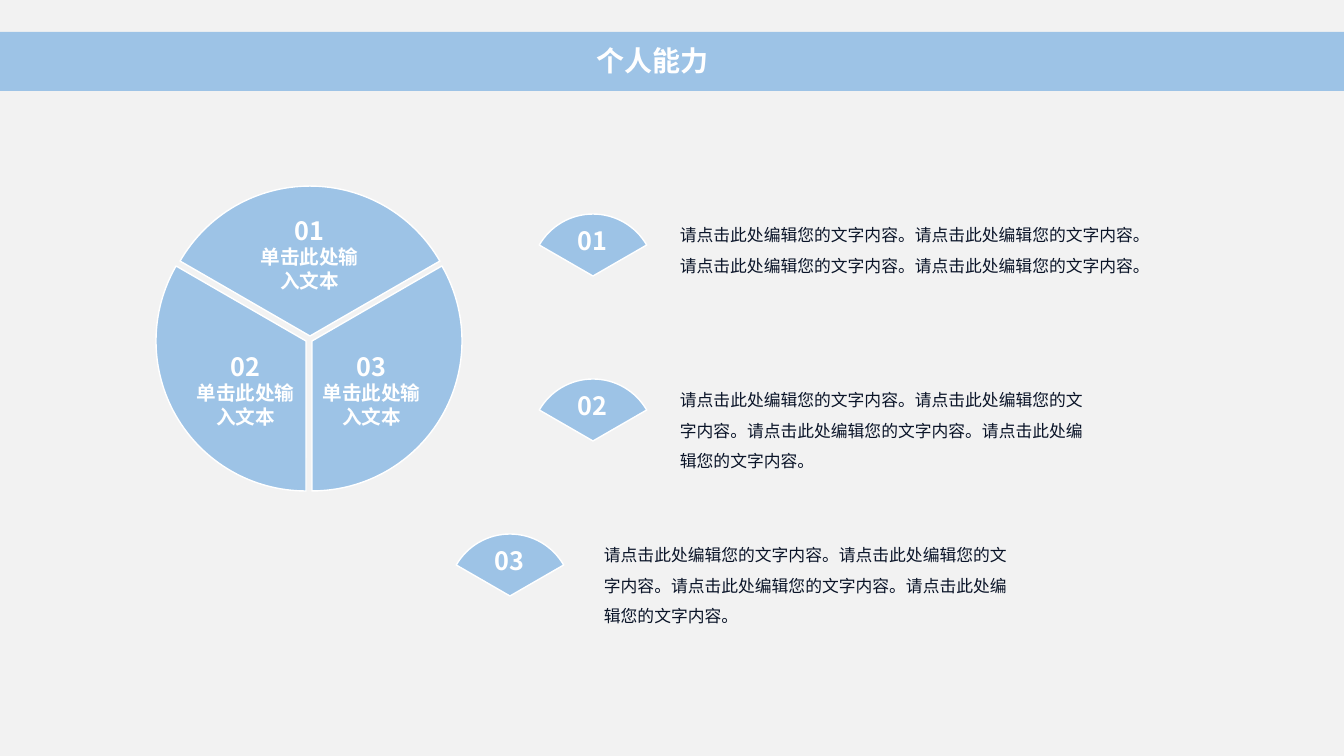
from dataclasses import dataclass

import pptx
import pptx.dml.color
import pptx.enum.shapes
import pptx.enum.text
import pptx.oxml
import pptx.oxml.ns
import pptx.util

SLIDE_W, SLIDE_H = 1344, 756
EMU_PER_PX = 12192000 / SLIDE_W
FONT = "Noto Sans CJK SC"
COLORS = {"page": "F2F2F2", "blue": "9DC3E6", "white": "FFFFFF", "ink": "0A1428"}
ALIGN = pptx.enum.text.PP_ALIGN
SHAPE = pptx.enum.shapes.MSO_SHAPE
SECTOR_LABEL = "单击此处输入文本"
DESCRIPTION = "请点击此处编辑您的文字内容。" * 4


@dataclass
class Line:
    text: str
    size: int
    color: str = "white"
    bold: bool = True
    align: ALIGN | None = ALIGN.CENTER
    spacing: float | None = None


@dataclass
class Sector:
    number: str
    left: int
    top: int
    rotation: int
    label_left: int
    label_top: int


@dataclass
class Ability:
    number: str
    left: int
    top: int
    text_left: int
    text_width: int
    text_height: int


SECTORS = [
    Sector("01", 160, 186, 300, 250, 195),
    Sector("02", 156, 191, 180, 186, 331),
    Sector("03", 162, 191, 60, 312, 331),
]
ABILITIES = [
    Ability("01", 531, 214, 670, 482, 68),
    Ability("02", 531, 379, 670, 436, 102),
    Ability("03", 448, 534, 594, 436, 102),
]


def px(value: float) -> int:
    return round(value * EMU_PER_PX)


def rgb(name: str) -> pptx.dml.color.RGBColor:
    return pptx.dml.color.RGBColor.from_string(COLORS[name])


def add_filled(shapes, kind, left: int, top: int, width: int, height: int):
    shape = shapes.add_shape(kind, px(left), px(top), px(width), px(height))
    shape.shadow.inherit = False
    shape.fill.solid()
    shape.fill.fore_color.rgb = rgb("blue")
    shape.line.fill.background()
    return shape


def add_pie(shapes, left: int, top: int, size: int, rotation: int) -> None:
    pie = add_filled(shapes, SHAPE.PIE, left, top, size, size)
    pie.adjustments[0] = 162  # 270 degrees
    pie.adjustments[1] = 18  # 30 degrees
    pie.rotation = rotation
    pie.line.color.rgb = rgb("white")
    pie.line.width = pptx.util.Pt(1)


def add_text(shapes, left: int, top: int, width: int, height: int,
             lines: list[Line]) -> None:
    box = shapes.add_textbox(px(left), px(top), px(width), px(height))
    frame = box.text_frame
    frame.word_wrap = True
    frame.auto_size = pptx.enum.text.MSO_AUTO_SIZE.SHAPE_TO_FIT_TEXT
    frame.text = "\n".join(line.text for line in lines)
    for paragraph, line in zip(frame.paragraphs, lines):
        paragraph.alignment = line.align
        paragraph.line_spacing = line.spacing
        run = paragraph.runs[0]
        run.font.size = pptx.util.Pt(line.size)
        run.font.bold = line.bold
        run.font.color.rgb = rgb(line.color)
        run.font.name = FONT
        # East Asian glyphs take their own typeface
        east_asian = pptx.oxml.parse_xml(
            f'<a:ea {pptx.oxml.ns.nsdecls("a")} typeface="{FONT}"/>')
        run.font._element.find(pptx.oxml.ns.qn("a:latin")).addnext(east_asian)


def add_sector(shapes, sector: Sector) -> None:
    group = shapes.add_group_shape().shapes
    add_pie(group, sector.left, sector.top, 300, sector.rotation)
    add_text(group, sector.label_left, sector.label_top, 119, 104,
             [Line(sector.number, 18, spacing=1.5), Line(SECTOR_LABEL, 14)])


def add_ability(shapes, ability: Ability) -> None:
    add_text(shapes, ability.text_left, ability.top - 4,
             ability.text_width, ability.text_height,
             [Line(DESCRIPTION, 12, "ink", False, None, 1.5)])
    group = shapes.add_group_shape().shapes
    add_pie(group, ability.left, ability.top, 124, 300)
    add_text(group, ability.left + 29, ability.top + 6, 65, 40,
             [Line(ability.number, 18)])


def main() -> None:
    deck = pptx.Presentation()
    deck.slide_width, deck.slide_height = px(SLIDE_W), px(SLIDE_H)
    slide = deck.slides.add_slide(deck.slide_layouts[6])
    slide.background.fill.solid()
    slide.background.fill.fore_color.rgb = rgb("page")

    # Title band
    add_filled(slide.shapes, SHAPE.RECTANGLE, -3, 32, 1351, 59)
    add_text(slide.shapes, 587, 39, 170, 44,
             [Line("个人能力", 20, align=ALIGN.JUSTIFY)])

    # Wheel of three sectors
    for sector in SECTORS:
        add_sector(slide.shapes, sector)

    # Numbered descriptions
    for ability in ABILITIES:
        add_ability(slide.shapes, ability)

    deck.save("out.pptx")


if __name__ == "__main__":
    main()
